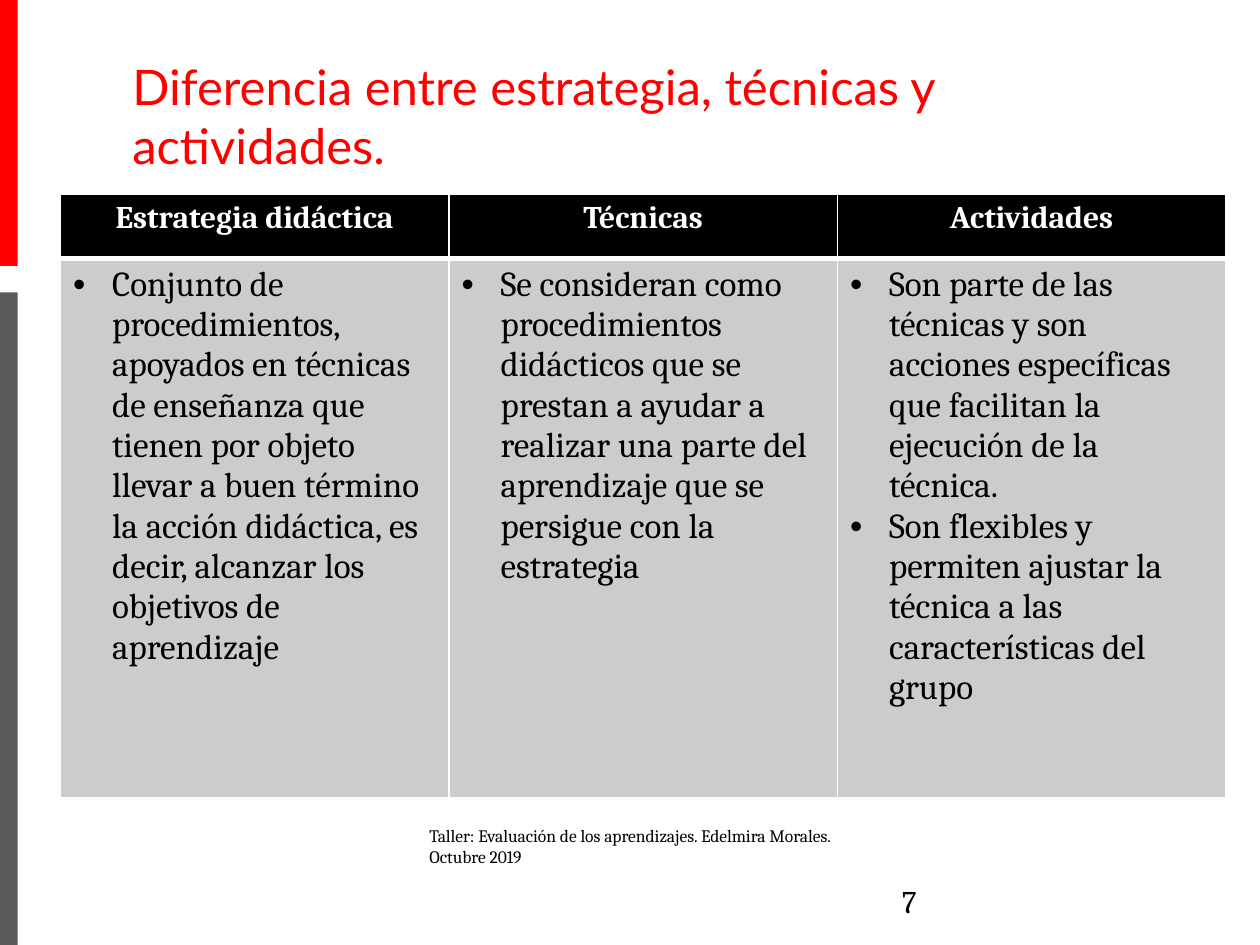
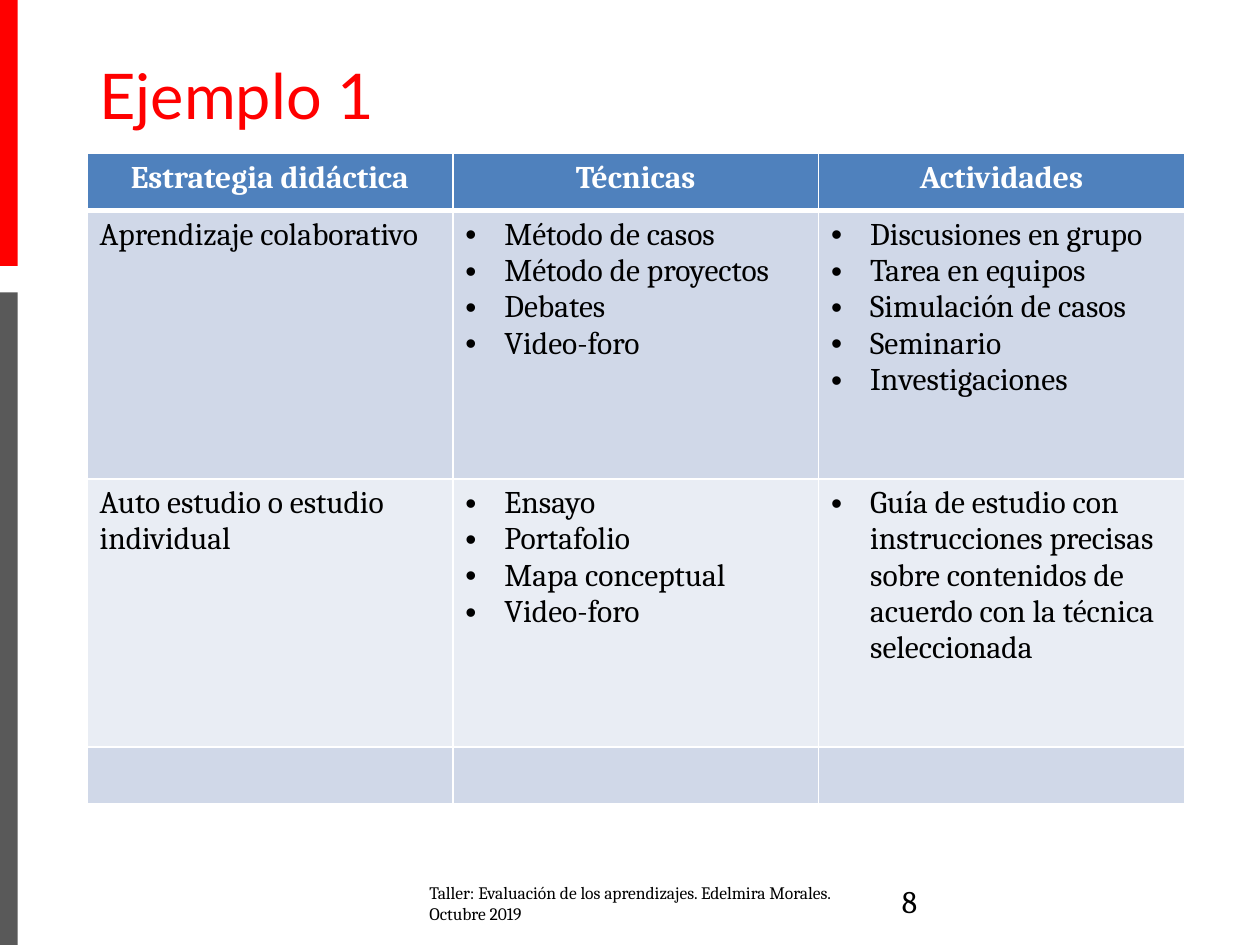
import pptx
import pptx.dml.color
import pptx.enum.shapes
import pptx.enum.text
import pptx.oxml
import pptx.oxml.ns
import pptx.util

SLIDE_WIDTH = pptx.util.Inches(10)
SLIDE_HEIGHT = pptx.util.Inches(7.5)
GRID_COLUMNS, GRID_ROWS = 100, 75
TITLE_ONLY = 5

RED, GRAY, WHITE, BLACK = "FF0000", "595959", "FFFFFF", "000000"
TITLE_FONT, BODY_FONT = "Lato", "Cambria"
HEADINGS = ["Estrategia didáctica", "Técnicas", "Actividades"]
FOOTER = "Taller: Evaluación de los aprendizajes. Edelmira Morales. Octubre 2019"
BULLET_INDENT = pptx.util.Inches(0.31)
LEFT = pptx.enum.text.PP_ALIGN.LEFT
CENTER = pptx.enum.text.PP_ALIGN.CENTER


def across(columns):
    return round(SLIDE_WIDTH * columns / GRID_COLUMNS)


def down(rows):
    return round(SLIDE_HEIGHT * rows / GRID_ROWS)


def place(left, top, width, height):
    return across(left), down(top), across(width), down(height)


def color(hex_string):
    return pptx.dml.color.RGBColor.from_string(hex_string)


def paint(fill, hex_string):
    fill.solid()
    fill.fore_color.rgb = color(hex_string)


def style(paragraph, size, font_name, hex_string, bold=False, alignment=LEFT):
    paragraph.alignment = alignment
    paragraph.font.size = pptx.util.Pt(size)
    paragraph.font.name = font_name
    paragraph.font.bold = bold
    paragraph.font.color.rgb = color(hex_string)


def add_band(slide, top, height, hex_string):
    band = slide.shapes.add_shape(
        pptx.enum.shapes.MSO_SHAPE.RECTANGLE, *place(0, top, 1.4, height))
    band.shadow.inherit = False
    paint(band.fill, hex_string)
    band.line.fill.background()


def set_title(slide, text, size, box):
    title = slide.shapes.title
    title.left, title.top, title.width, title.height = place(*box)
    frame = title.text_frame
    frame.text = text
    frame.auto_size = pptx.enum.text.MSO_AUTO_SIZE.NONE
    frame.vertical_anchor = pptx.enum.text.MSO_ANCHOR.TOP
    style(frame.paragraphs[0], size, TITLE_FONT, RED)


def add_text(slide, text, size, box):
    frame = slide.shapes.add_textbox(*place(*box)).text_frame
    frame.word_wrap = True
    frame.text = text
    style(frame.paragraphs[0], size, BODY_FONT, BLACK)


def add_bullet(paragraph):
    properties = paragraph._p.get_or_add_pPr()
    properties.set("marL", str(BULLET_INDENT))
    properties.set("indent", str(-BULLET_INDENT))
    namespace = pptx.oxml.ns.nsdecls("a")
    for element in ('buFont {} typeface="Arial"', 'buChar {} char="•"'):
        properties.append(pptx.oxml.parse_xml(f"<a:{element.format(namespace)}/>"))


def set_borders(cell, top=1, bottom=1):
    properties = cell._tc.get_or_add_tcPr()
    for side, points in (("L", 1), ("R", 1), ("T", top), ("B", bottom)):
        properties.append(pptx.oxml.parse_xml(
            f'<a:ln{side} {pptx.oxml.ns.nsdecls("a")} w="{pptx.util.Pt(points)}">'
            f'<a:solidFill><a:srgbClr val="{WHITE}"/></a:solidFill></a:ln{side}>'))


def fill_header(cell, heading, hex_string):
    set_borders(cell, bottom=3)
    paint(cell.fill, hex_string)
    cell.text = heading
    style(cell.text_frame.paragraphs[0], 18, BODY_FONT, WHITE, True, CENTER)


def fill_body(cell, content, size, hex_string, top_border):
    set_borders(cell, top=top_border)
    paint(cell.fill, hex_string)
    bulleted = isinstance(content, list)
    cell.text = "\n".join(content) if bulleted else content
    for paragraph in cell.text_frame.paragraphs:
        if bulleted:
            add_bullet(paragraph)
        style(paragraph, size, BODY_FONT, BLACK)


def add_comparison(slide, box, row_heights, rows, size, header_color, body_colors):
    table = slide.shapes.add_table(
        len(rows) + 1, len(HEADINGS), *place(*box, sum(row_heights))).table
    for column in table.columns:
        column.width = across(box[2] / len(HEADINGS))
    for row, height in zip(table.rows, row_heights):
        row.height = down(height)
    for index, heading in enumerate(HEADINGS):
        fill_header(table.cell(0, index), heading, header_color)
    for row_index, contents in enumerate(rows):
        body_color = body_colors[row_index % len(body_colors)]
        top_border = 3 if row_index == 0 else 1
        for index, content in enumerate(contents):
            fill_body(table.cell(row_index + 1, index), content, size,
                      body_color, top_border)


def add_slide(presentation, title, title_size, title_box, footer_top, number):
    slide = presentation.slides.add_slide(presentation.slide_layouts[TITLE_ONLY])
    add_band(slide, 0, 21.1, RED)
    add_band(slide, 23.2, 51.8, GRAY)
    set_title(slide, title, title_size, title_box)
    add_text(slide, FOOTER, 10, (33.1, footer_top, 33.8, 4))
    add_text(slide, str(number), 18, (70.6, 69.5, 22.5, 4))
    return slide


def main():
    presentation = pptx.Presentation()
    presentation.slide_width = SLIDE_WIDTH
    presentation.slide_height = SLIDE_HEIGHT

    differences = add_slide(
        presentation, "Diferencia entre estrategia, técnicas y actividades.",
        28, (9.5, 4, 81, 7.1), 65, 7)
    definitions = [[
        ["Conjunto de procedimientos, apoyados en técnicas de enseñanza que "
         "tienen por objeto llevar a buen término la acción didáctica, es decir, "
         "alcanzar los objetivos de aprendizaje"],
        ["Se consideran como procedimientos didácticos que se prestan a ayudar a "
         "realizar una parte del aprendizaje que se persigue con la estrategia"],
        ["Son parte de las técnicas y son acciones específicas que facilitan la "
         "ejecución de la técnica.",
         "Son flexibles y permiten ajustar la técnica a las características del "
         "grupo"],
    ]]
    add_comparison(differences, (4.8, 15.4, 92.5), [5.1, 42.8], definitions,
                   20, BLACK, ["CCCCCC"])

    example = add_slide(presentation, "Ejemplo 1", 36, (6.9, 4, 86.2, 14.5), 69.5, 8)
    examples = [
        ["Aprendizaje colaborativo",
         ["Método de casos", "Método de proyectos", "Debates", "Video-foro"],
         ["Discusiones en grupo", "Tarea en equipos", "Simulación de casos",
          "Seminario", "Investigaciones"]],
        ["Auto estudio o estudio individual",
         ["Ensayo", "Portafolio", "Mapa conceptual", "Video-foro"],
         ["Guía de estudio con instrucciones precisas sobre contenidos de "
          "acuerdo con la técnica seleccionada"]],
        ["", "", ""],
    ]
    add_comparison(example, (6.9, 12.2, 87.1), [4.5, 21.3, 21.3, 4.5], examples,
                   18, "4F81BD", ["D0D8E8", "E9EDF4"])

    presentation.save("out.pptx")


if __name__ == "__main__":
    main()
